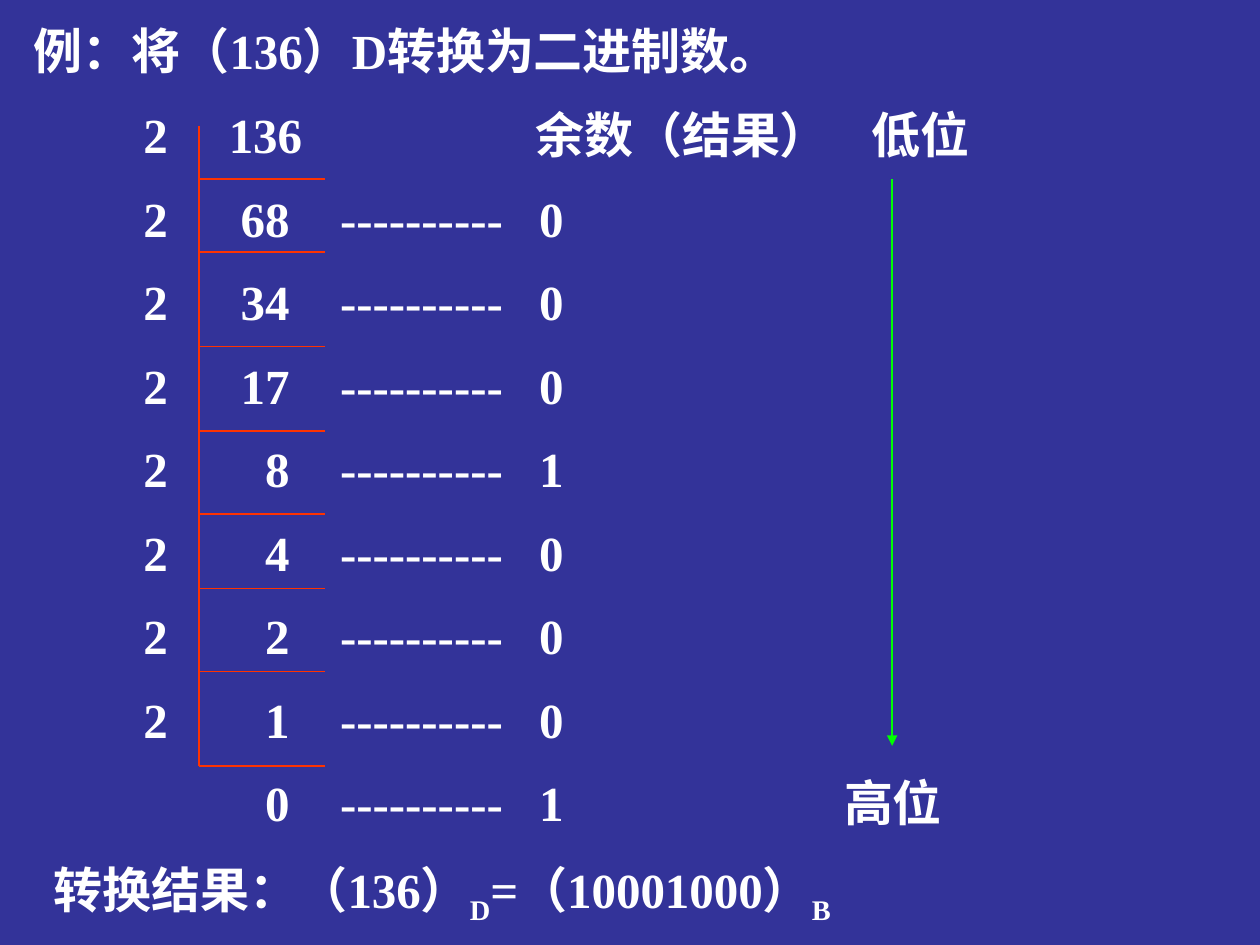
from lxml import etree
from pptx import Presentation
from pptx.dml.color import RGBColor
from pptx.enum import shapes, text
from pptx.oxml import ns
from pptx.util import Inches, Pt

# Content
TITLE = "例：将（136）D转换为二进制数。"
HEADER = ("2", "136", "余数（结果）", "低位")
DASHES = "-" * 10
STEPS = [  # divisor, quotient, remainder
    ("2", "68", "0"), ("2", "34", "0"), ("2", "17", "0"), ("2", "8", "1"),
    ("2", "4", "0"), ("2", "2", "0"), ("2", "1", "0"), ("", "0", "1"),
]
HIGH = "高位"
RESULT = [("转换结果：（136）", 0), ("D", -25), ("=（10001000）", 0), ("B", -25)]

# Tab stops, in inches from the text edge
HEADER_TABS = [(0.87, "l"), (2.13, "r"), (3.98, "l"), (6.65, "l")]
STEP_TABS = [(0.87, "l"), (2.03, "r"), (2.43, "l"), (4.01, "l"), (6.43, "l")]

# Division bracket and arrow, in inches
BRACKET_LEFT, BRACKET_RIGHT, BRACKET_TOP = 1.58, 2.58, 1
BARS = [1.42, 2, 2.75, 3.42, 4.08, 4.67, 5.33, 6.08]
ARROW_X, ARROW_BOTTOM = 7.08, 5.92


def color(value):
    return RGBColor.from_string(value)


def add_text_box(left, top, width, height):
    shape = slide.shapes.add_textbox(*map(Inches, (left, top, width, height)))
    frame = shape.text_frame
    frame.word_wrap = True
    frame.auto_size = text.MSO_AUTO_SIZE.SHAPE_TO_FIT_TEXT
    return frame


def fill_paragraph(paragraph, runs, tabs=(), line_spacing=None):
    paragraph.space_before = Pt(17.5)
    if line_spacing:
        paragraph.line_spacing = line_spacing
    if tabs:
        properties = paragraph._p.get_or_add_pPr()
        tab_list = etree.SubElement(properties, ns.qn("a:tabLst"))
        for position, alignment in tabs:
            etree.SubElement(tab_list, ns.qn("a:tab"),
                             pos=str(Inches(position)), algn=alignment)
    for content, baseline in runs:
        run = paragraph.add_run()
        run.text = content
        font = run.font
        font.name, font.size, font.bold = "Times New Roman", Pt(28), True
        font.color.rgb = color("FFFFFF")
        if baseline:
            run._r.get_or_add_rPr().set("baseline", str(baseline * 1000))


def add_line(x1, y1, x2, y2, line_color, arrow=False):
    line = slide.shapes.add_connector(
        shapes.MSO_CONNECTOR.STRAIGHT, *map(Inches, (x1, y1, x2, y2)))
    line.line.color.rgb = color(line_color)
    line.line.width = Pt(0.75)
    if arrow:
        etree.SubElement(line.line._get_or_add_ln(), ns.qn("a:tailEnd"), type="triangle")
    etree.SubElement(line._element.spPr, ns.qn("a:effectLst"))


# Slide
presentation = Presentation()
presentation.slide_width, presentation.slide_height = Inches(10), Inches(7.5)
slide = presentation.slides.add_slide(presentation.slide_layouts[6])
slide.background.fill.solid()
slide.background.fill.fore_color.rgb = color("333399")

# Question and division steps
lines = [(TITLE, ()), ("\t" + "\t".join(HEADER), HEADER_TABS)]
for divisor, quotient, remainder in STEPS:
    cells = ["", divisor, quotient, DASHES, remainder]
    if not divisor:
        cells.append(HIGH)
    lines.append(("\t".join(cells), STEP_TABS))
frame = add_text_box(0.17, 0.17, 9.58, 6.49)
for index, (content, tabs) in enumerate(lines):
    paragraph = frame.add_paragraph() if index else frame.paragraphs[0]
    fill_paragraph(paragraph, [(content, 0)], tabs, 0.9)

# Division bracket
add_line(BRACKET_LEFT, BRACKET_TOP, BRACKET_LEFT, BARS[-1], "FF3300")
for y in BARS:
    add_line(BRACKET_LEFT, y, BRACKET_RIGHT, y, "FF3300")

# Arrow from the low to the high digit
add_line(ARROW_X, BARS[0], ARROW_X, ARROW_BOTTOM, "00FF00", arrow=True)

# Result
fill_paragraph(add_text_box(0.33, 6.77, 7.42, 0.63).paragraphs[0], RESULT)

presentation.save("out.pptx")
